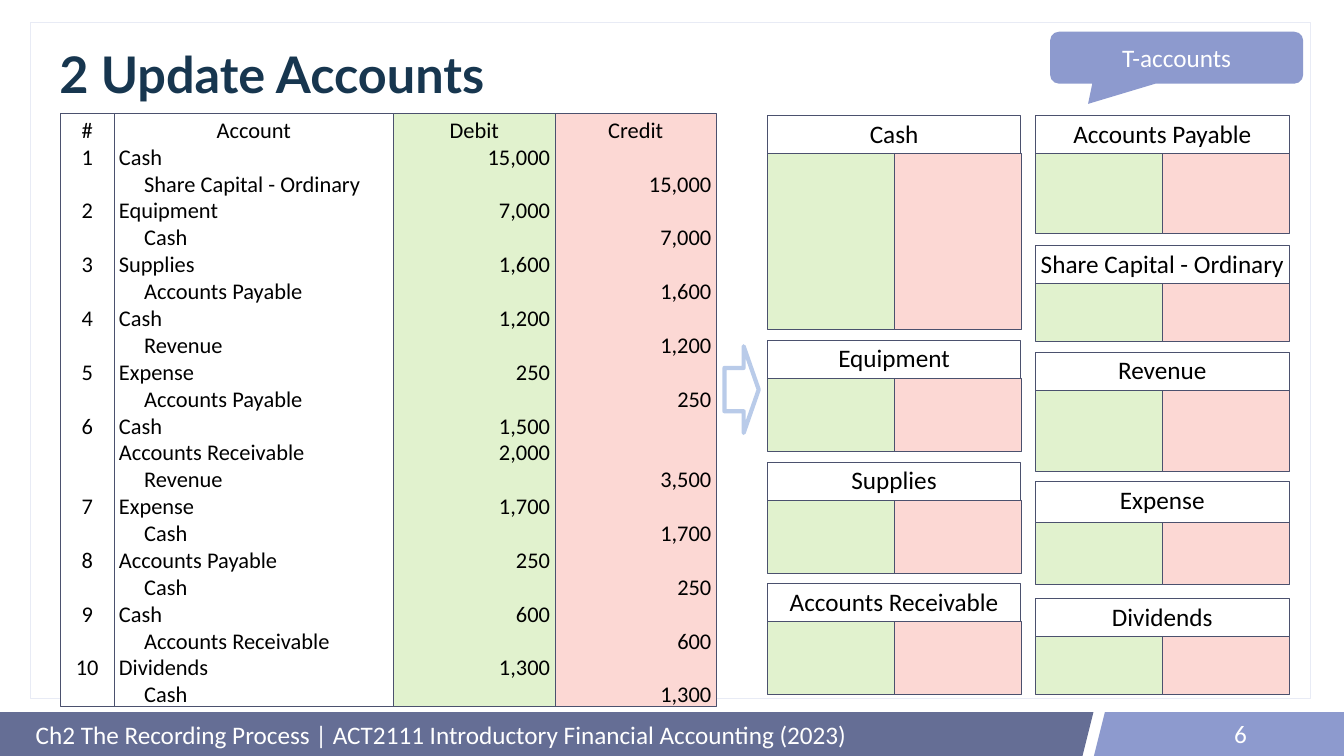
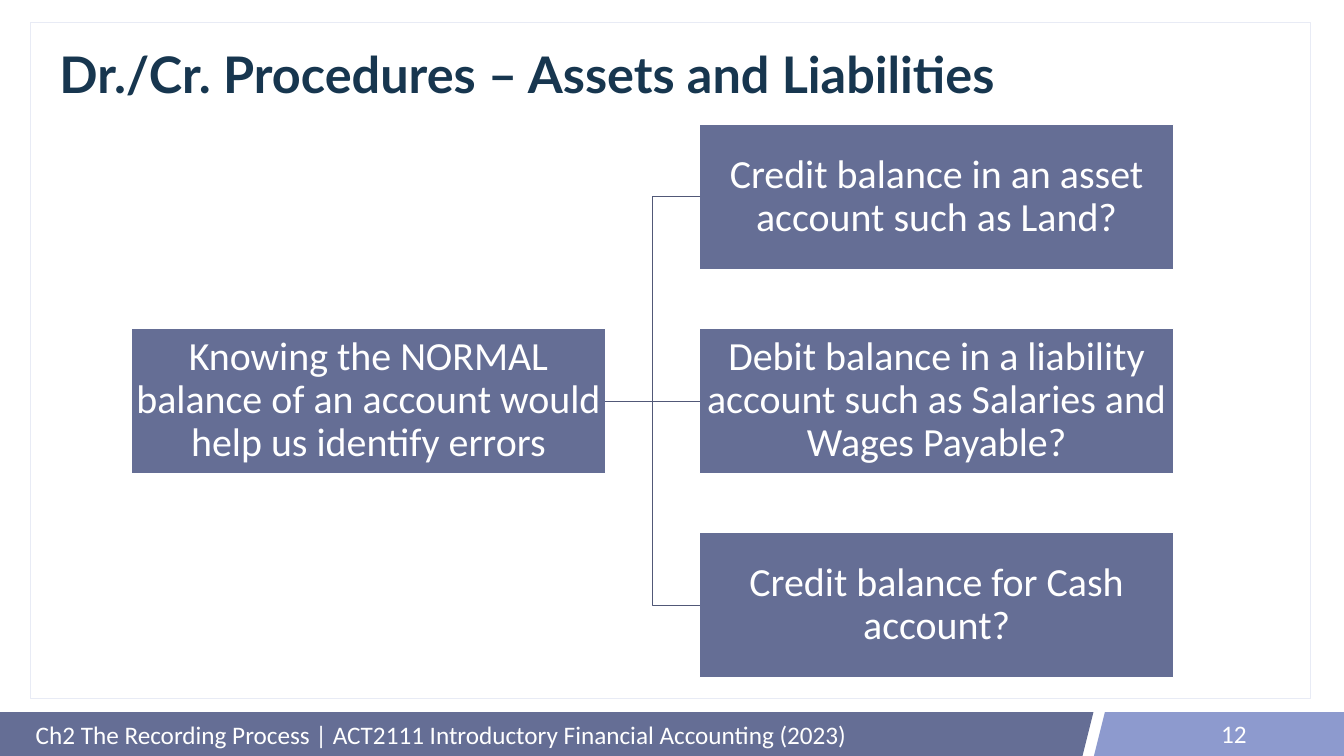
from lxml import etree
from pptx import Presentation
from pptx.dml.color import RGBColor
from pptx.enum.shapes import MSO_CONNECTOR as LINK, MSO_SHAPE as SHAPE
from pptx.enum.text import MSO_ANCHOR as ANCHOR, PP_ALIGN as ALIGN
from pptx.oxml.ns import qn
from pptx.util import Pt

PX = 9144  # 100 px to the inch
COLOURS = {
    "white": "FFFFFF", "black": "000000", "title": "17364F",
    "band": "656E95", "accent": "8D9ACE", "frame": "E8EBF5",
    "rule": "4B516E", "debit": "E1F2CE", "credit": "FCD8D4",
    "arrow": "B9CBE9", "link": "515877",
}
RGB = {name: RGBColor.from_string(value) for name, value in COLOURS.items()}
FOOTER = "Ch2 The Recording Process | ACT2111 Introductory Financial Accounting (2023)"


def add_box(slide, kind, bounds, fill, line=None, line_width=1):
    shape = slide.shapes.add_shape(kind, *[v * PX for v in bounds])
    shape.shadow.inherit = False
    shape.fill.solid()
    shape.fill.fore_color.rgb = RGB[fill]
    if line:
        shape.line.color.rgb = RGB[line]
        shape.line.width = Pt(line_width)
    else:
        shape.line.fill.background()
    return shape


def write(shape, text, size, colour, align=ALIGN.CENTER, anchor=ANCHOR.MIDDLE, font="Calibri"):
    """Put one styled paragraph in a shape and return the paragraph."""
    frame = shape.text_frame
    frame.text = text
    frame.word_wrap = True
    frame.vertical_anchor = anchor
    paragraph = frame.paragraphs[0]
    paragraph.alignment = align
    paragraph.font.name = font
    paragraph.font.size = Pt(size)
    paragraph.font.color.rgb = RGB[colour]
    return paragraph


prs = Presentation()
prs.slide_width, prs.slide_height = 2666 * PX, 1500 * PX

# Shared bands, frame, footer and title
slides = []
for title, number in [("2 Update Accounts", "6"),
                      ("Dr./Cr. Procedures – Assets and Liabilities", "12")]:
    slide = prs.slides.add_slide(prs.slide_layouts[6])
    slides.append(slide)
    for kind, x, w, fill in [(SHAPE.RECTANGLE, 0, 1995, "band"),
                             (SHAPE.PARALLELOGRAM, 1739, 430, "band"),
                             (SHAPE.PARALLELOGRAM, 2170, 430, "accent"),
                             (SHAPE.RECTANGLE, 2237, 429, "accent")]:
        add_box(slide, kind, (x, 1413, w, 87), fill)
    frame = add_box(slide, SHAPE.RECTANGLE, (61, 44, 2539, 1341), "white", "frame")
    tint = frame.fill._xPr.find(qn("a:solidFill"))[0]
    etree.SubElement(tint, qn("a:alpha"), val="85000")

    footer = slide.shapes.add_textbox(61 * PX, 1415 * PX, 2060 * PX, 85 * PX)
    write(footer, FOOTER, 36, "white", ALIGN.LEFT)
    page = slide.shapes.add_textbox(1883 * PX, 1415 * PX, 600 * PX, 80 * PX)
    write(page, number, 36, "white", ALIGN.RIGHT)
    heading = slide.shapes.add_textbox(108 * PX, 80 * PX, 2439 * PX, 145 * PX)
    words = write(heading, title, 72, "title", ALIGN.LEFT, font="Lato")
    words.font.bold = True
    words.line_spacing = 0.9

accounts, procedures = slides

# Journal: number, account, debit, credit
JOURNAL = [
    ("#", "Account", "Debit", "Credit"),
    ("1", "Cash", "15,000", ""),
    ("", "Share Capital - Ordinary", "", "15,000"),
    ("2", "Equipment", "7,000", ""),
    ("", "Cash", "", "7,000"),
    ("3", "Supplies", "1,600", ""),
    ("", "Accounts Payable", "", "1,600"),
    ("4", "Cash", "1,200", ""),
    ("", "Revenue", "", "1,200"),
    ("5", "Expense", "250", ""),
    ("", "Accounts Payable", "", "250"),
    ("6", "Cash", "1,500", ""),
    ("", "Accounts Receivable", "2,000", ""),
    ("", "Revenue", "", "3,500"),
    ("7", "Expense", "1,700", ""),
    ("", "Cash", "", "1,700"),
    ("8", "Accounts Payable", "250", ""),
    ("", "Cash", "", "250"),
    ("9", "Cash", "600", ""),
    ("", "Accounts Receivable", "", "600"),
    ("10", "Dividends", "1,300", ""),
    ("", "Cash", "", "1,300"),
]
JOURNAL_COLUMNS = [
    (119, 108, "white", ALIGN.CENTER), (226, 555, "white", ALIGN.LEFT),
    (781, 320, "debit", ALIGN.RIGHT), (1101, 320, "credit", ALIGN.RIGHT),
]
ROW_PITCH = 38.4  # points
for column, (x, w, fill, align) in reversed(list(enumerate(JOURNAL_COLUMNS))):
    strip = add_box(accounts, SHAPE.RECTANGLE, (x, 225, w, 1176), fill, "rule")
    header = write(strip, JOURNAL[0][column], 32, "black", anchor=ANCHOR.TOP)
    header.line_spacing = Pt(ROW_PITCH)
    skipped = 0
    for row in JOURNAL[1:]:
        if not row[column]:
            skipped += 1
            continue
        entry = strip.text_frame.add_paragraph()
        entry.text = row[column]
        if column == 1 and row[3]:
            entry._p.get_or_add_pPr().set("marL", str(50 * PX))
        entry.alignment = align
        entry.line_spacing = Pt(ROW_PITCH)
        entry.space_before = Pt(skipped * ROW_PITCH)
        entry.font.name = "Calibri"
        entry.font.size = Pt(32)
        entry.font.color.rgb = RGB["black"]
        skipped = 0

# T-accounts: name, top, label height, body height
T_ACCOUNTS = {
    1522: [("Cash", 229, 75, 350), ("Equipment", 675, 75, 145),
           ("Supplies", 917, 75, 145), ("Accounts Receivable", 1158, 75, 145)],
    2054: [("Accounts Payable", 229, 75, 160), ("Share Capital - Ordinary", 487, 75, 115),
           ("Revenue", 699, 75, 161), ("Expense", 955, 82, 130), ("Dividends", 1188, 75, 115)],
}
for x, group in T_ACCOUNTS.items():
    for name, top, label_height, body_height in group:
        body = top + 75
        add_box(accounts, SHAPE.RECTANGLE, (x + 252, body, 252, body_height), "credit", "rule")
        add_box(accounts, SHAPE.RECTANGLE, (x, body, 252, body_height), "debit", "rule")
        label = add_box(accounts, SHAPE.RECTANGLE, (x, top, 503, label_height), "white", "rule")
        write(label, name, 36, "black", anchor=ANCHOR.TOP)

posting = add_box(accounts, SHAPE.RIGHT_ARROW, (1437, 687, 68, 172), "white", "arrow", 6)
posting.adjustments[0], posting.adjustments[1] = 0.5, 0.44

callout = add_box(accounts, SHAPE.ROUNDED_RECTANGULAR_CALLOUT, (2083, 63, 502, 103), "accent")
for i, value in enumerate((-0.35, 0.89, 0.17)):
    callout.adjustments[i] = value
write(callout, "T-accounts", 36, "white")

# Normal balance and the errors it reveals
ERROR_SIGNS = [
    "Credit balance in an asset account such as Land?",
    "Debit balance in a liability account such as Salaries and Wages Payable?",
    "Credit balance for Cash account?",
]
BALANCE_TEXT = "Knowing the NORMAL balance of an account would help us identify errors"
nodes = []
for text, x, y in [(BALANCE_TEXT, 261, 652)] + [
        (sign, 1388, 247 + 405 * i) for i, sign in enumerate(ERROR_SIGNS)]:
    node = add_box(procedures, SHAPE.RECTANGLE, (x, y, 940, 287), "band", "white")
    write(node, text, 57, "white").line_spacing = 0.9
    inner = node.text_frame
    inner.margin_left = inner.margin_right = inner.margin_top = inner.margin_bottom = 4 * PX
    nodes.append(node)

normal_balance, *errors = nodes
for error in errors:
    kind = LINK.STRAIGHT if error.top == normal_balance.top else LINK.ELBOW
    link = procedures.shapes.add_connector(kind, 0, 0, 0, 0)
    link.begin_connect(normal_balance, 3)
    link.end_connect(error, 1)
    link.line.color.rgb = RGB["link"]
    link.line.width = Pt(1)
    etree.SubElement(link._element.spPr, qn("a:effectLst"))

prs.save("out.pptx")
